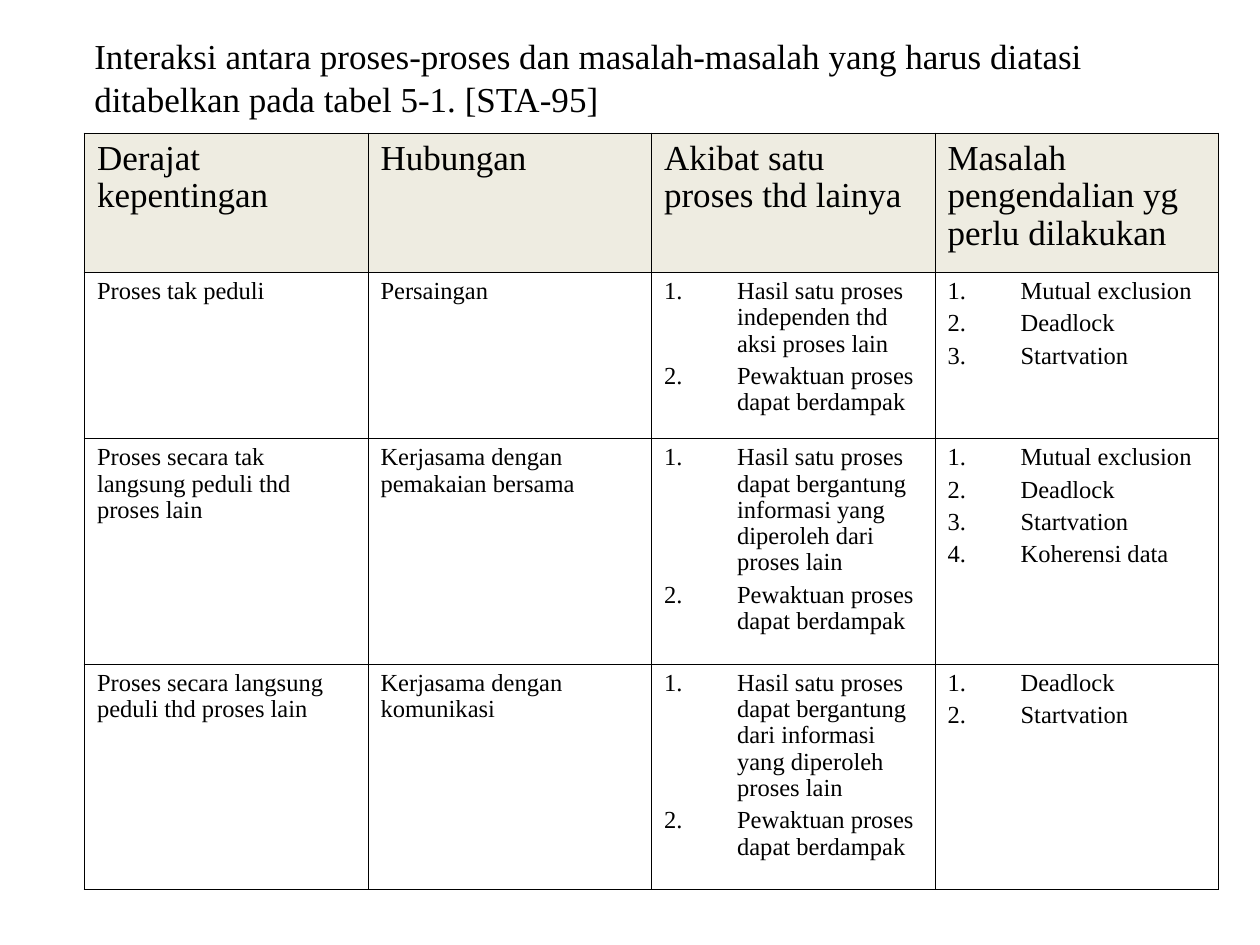
from lxml.etree import SubElement
from pptx import Presentation
from pptx.dml.color import RGBColor
from pptx.enum.shapes import MSO_SHAPE
from pptx.enum.text import MSO_ANCHOR, PP_ALIGN
from pptx.oxml.ns import qn
from pptx.util import Inches, Pt

BLACK = RGBColor(0x00, 0x00, 0x00)
WHITE = RGBColor(0xFF, 0xFF, 0xFF)
CREAM = RGBColor(0xEE, 0xEC, 0xE1)
FONT = "Times New Roman"
THIN, THICK = Pt(0.45), Pt(1.08)

TITLE = ("Interaksi antara proses-proses dan masalah-masalah yang harus diatasi "
         "ditabelkan pada tabel 5-1. [STA-95]")
TIMING = "Pewaktuan proses dapat berdampak"
# A list in a cell becomes a numbered list
ROWS = [
    ["Derajat kepentingan", "Hubungan", "Akibat satu proses thd lainya",
     "Masalah pengendalian yg perlu dilakukan"],
    ["Proses tak peduli", "Persaingan",
     ["Hasil satu proses independen thd aksi proses lain", TIMING],
     ["Mutual exclusion", "Deadlock", "Startvation"]],
    ["Proses secara tak langsung peduli thd proses lain",
     "Kerjasama dengan pemakaian bersama",
     ["Hasil satu proses dapat bergantung informasi yang diperoleh dari proses lain",
      TIMING],
     ["Mutual exclusion", "Deadlock", "Startvation", "Koherensi data"]],
    ["Proses secara langsung peduli thd proses lain", "Kerjasama dengan komunikasi",
     ["Hasil satu proses dapat bergantung dari informasi yang diperoleh proses lain",
      TIMING],
     ["Deadlock", "Startvation"]],
]
ROW_HEIGHTS = [1.1, 1.32, 1.79, 1.79]


def write_text(tf, text, size=14, before=0, spacing=None):
    """Fill a text frame with one paragraph, or a numbered list."""
    tf.word_wrap = True
    numbered = isinstance(text, list)
    for i, line in enumerate(text if numbered else [text]):
        p = tf.paragraphs[0] if i == 0 else tf.add_paragraph()
        p.alignment = PP_ALIGN.LEFT
        p.line_spacing = spacing
        if i:
            p.space_before = Pt(before)
        if numbered:
            pPr = p._p.get_or_add_pPr()
            pPr.set("marL", str(Inches(0.58)))
            pPr.set("indent", str(Inches(-0.58)))
            SubElement(pPr, qn("a:buFont"), typeface=FONT)
            SubElement(pPr, qn("a:buAutoNum"), type="arabicPeriod")
        r = p.add_run()
        r.text = line
        r.font.name, r.font.size = FONT, Pt(size)
        r.font.color.rgb = BLACK


def set_borders(cell, widths):
    """Draw the left, right, top and bottom borders of a cell."""
    tcPr = cell._tc.get_or_add_tcPr()
    for side, width in zip("LRTB", widths):
        ln = SubElement(tcPr, qn(f"a:ln{side}"), w=str(width))
        fill = SubElement(ln, qn("a:solidFill"))
        SubElement(fill, qn("a:srgbClr"), val=str(BLACK))


def add_title(slide, left, top, width, height):
    sp = slide.shapes.add_shape(MSO_SHAPE.RECTANGLE, left, top, width, height)
    sp.shadow.inherit = False
    sp.fill.solid()
    sp.fill.fore_color.rgb = WHITE
    sp.line.fill.background()
    sp.text_frame.vertical_anchor = MSO_ANCHOR.TOP
    write_text(sp.text_frame, TITLE, size=20, spacing=1.04)


def add_process_table(slide, left, top, width, height):
    n_rows, n_cols = len(ROWS), len(ROWS[0])
    table = slide.shapes.add_table(n_rows, n_cols, left, top, width, height).table
    for col in table.columns:
        col.width = width // n_cols
    for row, row_height in zip(table.rows, ROW_HEIGHTS):
        row.height = Inches(row_height)
    for i, texts in enumerate(ROWS):
        for j, text in enumerate(texts):
            cell = table.cell(i, j)
            edges = (j == 0, j == n_cols - 1, i == 0, i == n_rows - 1)
            set_borders(cell, [THICK if edge else THIN for edge in edges])
            cell.fill.solid()
            cell.fill.fore_color.rgb = WHITE if i else CREAM
            write_text(cell.text_frame, text, size=14 if i else 20,
                       before=3.5, spacing=0.97)


def main():
    prs = Presentation()
    prs.slide_width, prs.slide_height = Inches(10), Inches(7.5)
    slide = prs.slides.add_slide(prs.slide_layouts[6])
    add_process_table(slide, Inches(0.67), Inches(1.06), Inches(9), Inches(6))
    add_title(slide, Inches(0.65), Inches(0.21), Inches(9), Inches(0.77))
    prs.save("out.pptx")


if __name__ == "__main__":
    main()
